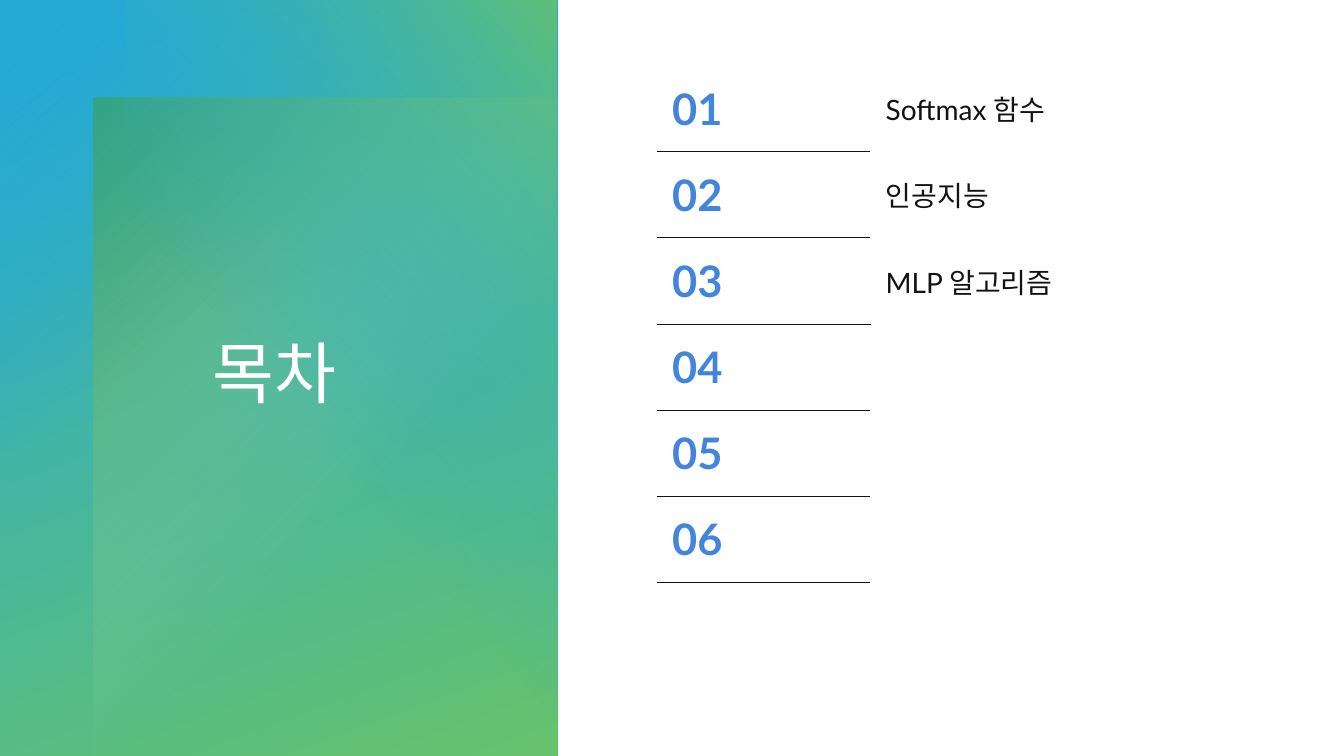
import pptx
import pptx.dml.color
import pptx.enum.shapes
import pptx.enum.text
import pptx.oxml
import pptx.oxml.ns
import pptx.util
from pptx.util import Cm

RGBColor = pptx.dml.color.RGBColor
WHITE = RGBColor(0xFF, 0xFF, 0xFF)
INK = RGBColor(0x13, 0x13, 0x13)
NUMBER_BLUE = RGBColor(0x44, 0x85, 0xDC)
SKY = RGBColor(0x25, 0xAA, 0xD5)
LEAF = RGBColor(0x66, 0xC2, 0x6C)
FOREST = RGBColor(0x3F, 0x9F, 0x46)
MINT = RGBColor(0xA3, 0xDA, 0xA7)
FONT = "Lato"

TITLE = "목차"
TOPICS = ["Softmax 함수", "인공지능", "MLP 알고리즘", "", "", ""]

CORNER_GLOW = '<a:path path="circle"><a:fillToRect r="100000" b="100000"/></a:path>'
PANELS = [
    {"box": (0, 0, 14.05, 19.05), "turn": 0, "direction": 70,
     "stops": [(7, SKY, 100), (100, LEAF, 100)]},
    {"box": (2.36, 2.46, 11.69, 16.59), "turn": 180, "direction": None,
     "stops": [(0, FOREST, 100), (60, MINT, 0)]},
    {"box": (0, 0, 10.34, 19.05), "turn": 0, "direction": 50,
     "stops": [(3, SKY, 70), (42, SKY, 0)]},
    {"box": (-0.93, 4.09, 19.05, 10.87), "turn": 270, "direction": 230,
     "stops": [(0, LEAF, 86), (57, SKY, 0)]},
]
TITLE_BOX = (1.83, 5.84, 10.19, 7.29)
TABLE_LEFT, TABLE_TOP = 16.56, 1.65
COLUMN_WIDTHS = (5.38, 9.93)
ROW_HEIGHT = 2.17
CELL_INSET = Cm(0.38)


def add_run(paragraph, text, size, color, bold=False):
    """Append one formatted run to a paragraph."""
    run = paragraph.add_run()
    run.text = text
    run.font.name = FONT
    run.font.size = pptx.util.Pt(size)
    run.font.bold = bold
    run.font.color.rgb = color


def add_panel(slide, box, turn, direction, stops):
    """Add a rectangle filled with a translucent gradient."""
    shape = slide.shapes.add_shape(
        pptx.enum.shapes.MSO_SHAPE.RECTANGLE, *(Cm(length) for length in box))
    shape.shadow.inherit = False
    shape.line.fill.background()
    shape.rotation = turn
    stop_xml = "".join(
        f'<a:gs pos="{position * 1000}"><a:srgbClr val="{color}">'
        f'<a:alpha val="{opacity * 1000}"/></a:srgbClr></a:gs>'
        for position, color, opacity in stops)
    shade = CORNER_GLOW if direction is None else f'<a:lin ang="{direction * 60000}" scaled="0"/>'
    gradient = pptx.oxml.parse_xml(
        f'<a:gradFill {pptx.oxml.ns.nsdecls("a")} rotWithShape="1">'
        f'<a:gsLst>{stop_xml}</a:gsLst>{shade}</a:gradFill>')
    shape.element.spPr.find(pptx.oxml.ns.qn("a:prstGeom")).addnext(gradient)


def add_rule(cell, side, position):
    """Draw a thin border on one side of a cell."""
    border = pptx.oxml.parse_xml(
        f'<a:{side} {pptx.oxml.ns.nsdecls("a")} w="6350"><a:solidFill>'
        f'<a:srgbClr val="{INK}"/></a:solidFill></a:{side}>')
    cell._tc.get_or_add_tcPr().insert(position, border)


def add_contents(slide):
    """Add the numbered table of topics."""
    table = slide.shapes.add_table(
        len(TOPICS), len(COLUMN_WIDTHS), Cm(TABLE_LEFT), Cm(TABLE_TOP),
        Cm(sum(COLUMN_WIDTHS)), Cm(ROW_HEIGHT * len(TOPICS))).table
    table.first_row = table.horz_banding = False
    for column, width in zip(table.columns, COLUMN_WIDTHS):
        column.width = Cm(width)
    for index, topic in enumerate(TOPICS):
        table.rows[index].height = Cm(ROW_HEIGHT)
        number_cell, topic_cell = table.rows[index].cells
        for cell in (number_cell, topic_cell):
            cell.fill.background()
            cell.vertical_anchor = pptx.enum.text.MSO_ANCHOR.MIDDLE
            cell.margin_left = cell.margin_right = CELL_INSET
            cell.margin_top = cell.margin_bottom = CELL_INSET
        add_run(number_cell.text_frame.paragraphs[0], f"{index + 1:02}", 31, NUMBER_BLUE, True)
        if topic:
            add_run(topic_cell.text_frame.paragraphs[0], topic, 20, INK)
        add_rule(number_cell, "lnB", 0)
        if index:
            add_rule(number_cell, "lnT", 0)


def main():
    """Build the contents slide and save it."""
    presentation = pptx.Presentation()
    presentation.slide_width, presentation.slide_height = Cm(33.87), Cm(19.05)
    slide = presentation.slides.add_slide(presentation.slide_layouts[5])
    for panel in PANELS:
        add_panel(slide, **panel)

    title = slide.shapes.title
    title.left, title.top, title.width, title.height = (Cm(length) for length in TITLE_BOX)
    title.text_frame.word_wrap = True
    title.text_frame.vertical_anchor = pptx.enum.text.MSO_ANCHOR.MIDDLE
    paragraph = title.text_frame.paragraphs[0]
    paragraph.alignment = pptx.enum.text.PP_ALIGN.CENTER
    paragraph.line_spacing = 0.9
    add_run(paragraph, TITLE, 48, WHITE)
    slide.shapes._spTree.append(title.element)

    add_contents(slide)
    presentation.save("out.pptx")


if __name__ == "__main__":
    main()
